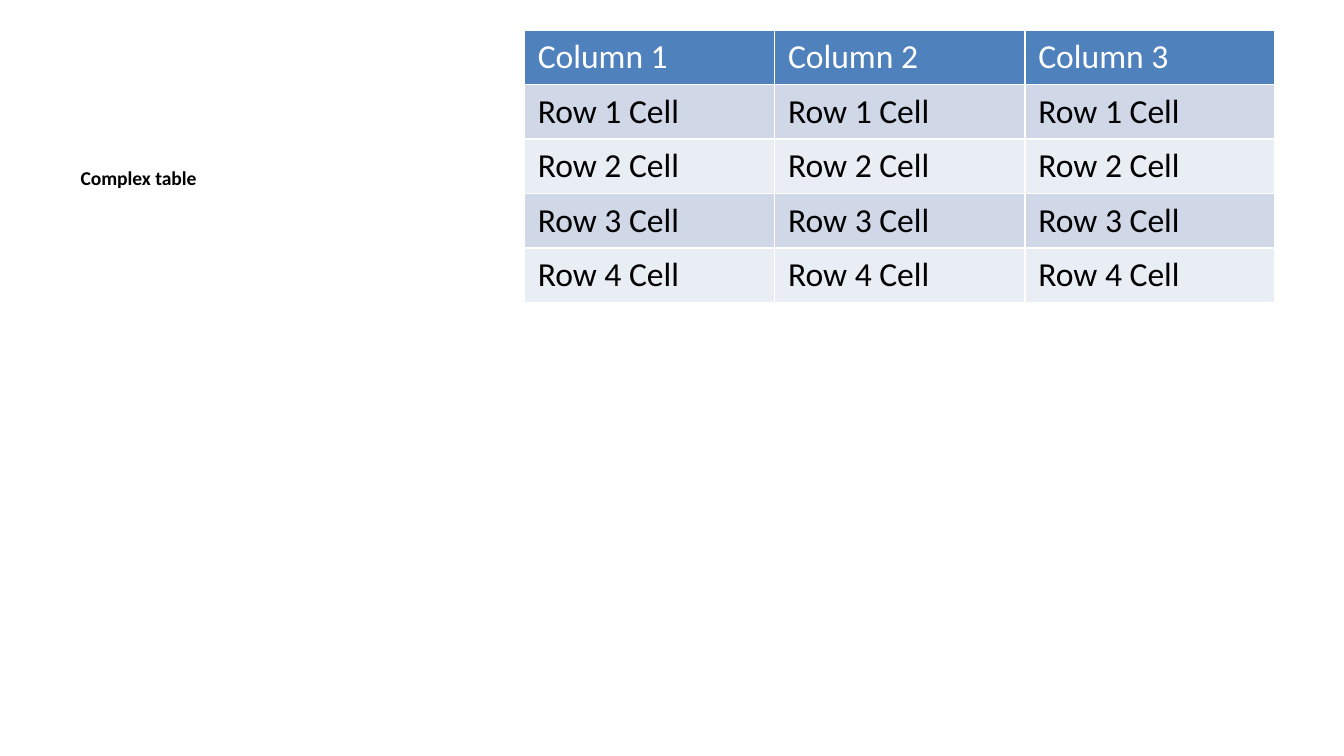
"""Build a slide with a caption beside a banded table."""
from pptx import Presentation
from pptx import util as u
from pptx.dml.color import RGBColor
from pptx.enum import text

CAPTION = "Complex table"
HEADINGS = [f"Column {number}" for number in range(1, 4)]
BODY_ROWS = [[f"Row {number} Cell"] * len(HEADINGS) for number in range(1, 5)]

THEME = {
    "font": "Calibri",
    "caption_size": u.Pt(10.5),
    "cell_size": u.Pt(18),
    "ink": RGBColor.from_string("000000"),
    "heading_ink": RGBColor.from_string("FFFFFF"),
    "heading_fill": RGBColor.from_string("4F81BD"),
    "bands": [RGBColor.from_string(band) for band in ("D0D8E8", "E9EDF4")],
}
COLUMN_WIDTH, ROW_HEIGHT = u.Cm(4.73), u.Cm(1.03)


def format_paragraph(paragraph, size, ink, bold=False):
    font = paragraph.font
    font.name, font.size, font.bold = THEME["font"], size, bold
    font.color.rgb = ink


def add_caption(slide):
    caption = slide.placeholders[2]
    caption.left, caption.top = u.Cm(1.27), u.Cm(3)
    caption.width, caption.height = u.Cm(8.36), u.Cm(9.78)
    frame = caption.text_frame
    frame.text = CAPTION
    frame.auto_size = text.MSO_AUTO_SIZE.NONE
    frame.vertical_anchor = text.MSO_ANCHOR.TOP
    paragraph = frame.paragraphs[0]
    paragraph.space_before = u.Pt(30)
    format_paragraph(paragraph, THEME["caption_size"], THEME["ink"], bold=True)


def add_grid(slide):
    rows = [HEADINGS] + BODY_ROWS
    grid = slide.shapes.add_table(
        len(rows), len(HEADINGS), u.Cm(9.91), u.Cm(0.57),
        COLUMN_WIDTH * len(HEADINGS), ROW_HEIGHT * len(rows)).table
    for row_index, row in enumerate(rows):
        is_heading = row_index == 0
        fill = THEME["heading_fill"] if is_heading else THEME["bands"][(row_index - 1) % 2]
        ink = THEME["heading_ink"] if is_heading else THEME["ink"]
        for column_index, wording in enumerate(row):
            cell = grid.cell(row_index, column_index)
            cell.text = wording
            cell.fill.solid()
            cell.fill.fore_color.rgb = fill
            format_paragraph(cell.text_frame.paragraphs[0], THEME["cell_size"], ink)


def main():
    deck = Presentation()
    deck.slide_width, deck.slide_height = u.Cm(25.4), u.Cm(14.29)
    slide = deck.slides.add_slide(deck.slide_layouts[7])
    add_caption(slide)
    for unused in (slide.placeholders[0], slide.placeholders[1]):
        unused.element.getparent().remove(unused.element)
    add_grid(slide)
    deck.save("out.pptx")


if __name__ == "__main__":
    main()
